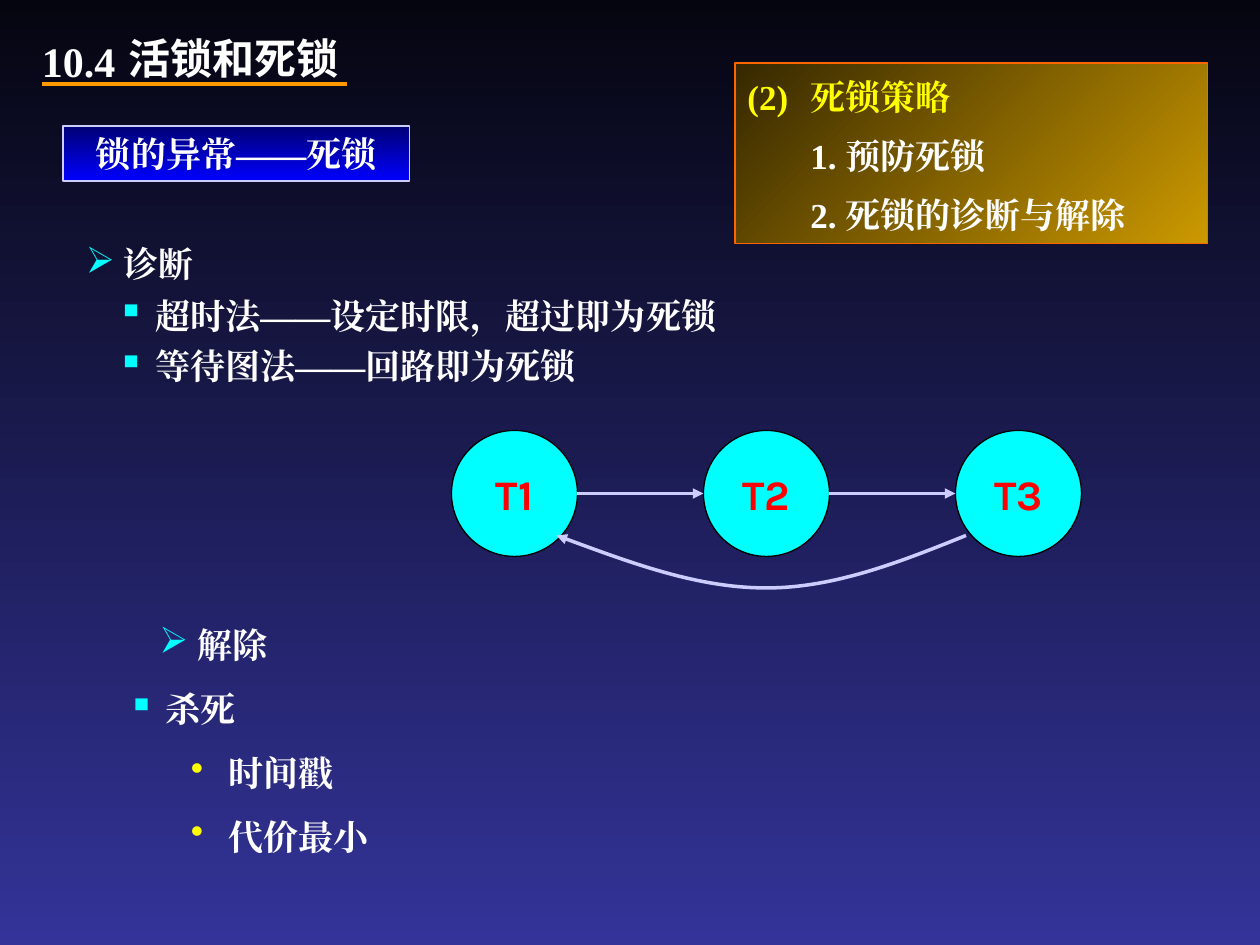
from dataclasses import dataclass

from pptx import Presentation
from pptx import util as u
from pptx.dml.color import RGBColor
from pptx.enum import shapes, text
from pptx.oxml.ns import qn

COLUMNS, ROWS = 120, 90
HANG = 0.3  # inches between a bullet and its text


@dataclass(frozen=True)
class Theme:
    serif: str = "Times New Roman"
    sans: str = "Noto Sans CJK SC"
    node: str = "Karla"
    heading: int = 24
    body: int = 20
    white: str = "FFFFFF"
    cyan: str = "00FFFF"
    yellow: str = "FFFF00"
    red: str = "FF0000"
    black: str = "000000"
    orange: str = "FF9900"
    ember: str = "FF6600"
    lavender: str = "CCCCFF"
    backdrop: tuple = ("050510", "333399")
    blue: tuple = ("000076", "0000FF")
    gold: tuple = ("362800", "CC9900")


THEME = Theme()


def rgb(code):
    return RGBColor.from_string(code)


def add_child(parent, tag, **attributes):
    child = parent.makeelement(qn(tag), attributes)
    parent.append(child)
    return child


def blend(fill, colors, angle):
    """Two-colour gradient; the angle runs clockwise."""
    fill.gradient()
    fill.gradient_angle = 360 - angle
    for stop, color in zip(fill.gradient_stops, colors):
        stop.color.rgb = rgb(color)


def write(paragraph, words, *, color=THEME.white, size=THEME.body, font=THEME.serif,
          align=text.PP_ALIGN.LEFT, level=0, margin=0, bullet=None,
          bullet_color=THEME.cyan, tab=None, before=0, spacing=None):
    paragraph.alignment = align
    paragraph.level = level
    paragraph.space_before = u.Pt(before)
    if spacing:
        paragraph.line_spacing = spacing
    props = paragraph._p.get_or_add_pPr()
    props.set("marL", str(u.Inches(margin)))
    props.set("indent", str(u.Inches(-HANG if bullet else 0)))
    if bullet:
        add_child(add_child(props, "a:buClr"), "a:srgbClr", val=bullet_color)
        add_child(props, "a:buSzPct", val="105000")
        add_child(props, "a:buChar", char=bullet)
    else:
        add_child(props, "a:buNone")
    if tab:
        stops = add_child(props, "a:tabLst")
        add_child(stops, "a:tab", pos=str(u.Inches(tab)), algn="l")
    run = paragraph.add_run()
    run.text = words
    run.font.name, run.font.size, run.font.bold = font, u.Pt(size), True
    run.font.color.rgb = rgb(color)
    add_child(run._r.get_or_add_rPr(), "a:ea", typeface=font)


class Board:
    """Holds the theme and the slide; lengths are grid columns and rows."""

    def __init__(self, deck, theme):
        self.theme = theme
        self.cell_w = deck.slide_width / COLUMNS
        self.cell_h = deck.slide_height / ROWS
        self.slide = deck.slides.add_slide(deck.slide_layouts[5])
        blend(self.slide.background.fill, theme.backdrop, 90)

    def point(self, column, row):
        return u.Emu(round(column * self.cell_w)), u.Emu(round(row * self.cell_h))

    def area(self, column, row, width, height):
        return *self.point(column, row), *self.point(width, height)

    def fill_frame(self, shape, lines, anchor=text.MSO_ANCHOR.TOP, wrap=True):
        """Each line is a pair of words and format."""
        frame = shape.text_frame
        frame.auto_size = text.MSO_AUTO_SIZE.NONE
        frame.word_wrap = wrap
        frame.vertical_anchor = anchor
        for index, (words, style) in enumerate(lines):
            paragraph = frame.add_paragraph() if index else frame.paragraphs[0]
            write(paragraph, words, **style)

    def title(self, place, words):
        title = self.slide.shapes.title
        title.left, title.top, title.width, title.height = self.area(*place)
        style = dict(size=self.theme.heading, font=self.theme.sans)
        self.fill_frame(title, [(words, style)], text.MSO_ANCHOR.MIDDLE)

    def label(self, place, lines, **frame):
        self.fill_frame(self.slide.shapes.add_textbox(*self.area(*place)), lines, **frame)

    def panel(self, place, lines, colors, angle, outline):
        panel = self.slide.shapes.add_shape(shapes.MSO_SHAPE.RECTANGLE, *self.area(*place))
        blend(panel.fill, colors, angle)
        self.outline(panel, outline)
        self.fill_frame(panel, lines)

    def node(self, place, name):
        node = self.slide.shapes.add_shape(shapes.MSO_SHAPE.OVAL, *self.area(*place))
        node.fill.solid()
        node.fill.fore_color.rgb = rgb(self.theme.cyan)
        self.outline(node, self.theme.black)
        style = dict(color=self.theme.red, size=self.theme.heading,
                     font=self.theme.node, align=text.PP_ALIGN.CENTER)
        self.fill_frame(node, [(name, style)], text.MSO_ANCHOR.MIDDLE, wrap=False)

    def line(self, start, end, color, weight, arrow=False):
        line = self.slide.shapes.add_connector(
            shapes.MSO_CONNECTOR.STRAIGHT, *self.point(*start), *self.point(*end))
        self.stroke(line, color, weight, arrow)
        add_child(line._element.spPr, "a:effectLst")

    def curved_arrow(self, start, *controls, color, weight):
        """Bezier arrow: three control points for each segment."""
        builder = self.slide.shapes.build_freeform(*self.point(*start))
        builder.add_line_segments([self.point(*c) for c in controls], close=False)
        curve = builder.convert_to_shape()
        outline = curve._element.spPr.find(".//" + qn("a:path"))
        corners = outline.findall(qn("a:lnTo"))
        for first in range(0, len(corners), 3):
            segment = add_child(outline, "a:cubicBezTo")
            for corner in corners[first:first + 3]:
                segment.append(corner[0])
                outline.remove(corner)
        curve.fill.background()
        self.stroke(curve, color, weight, arrow=True)
        curve.shadow.inherit = False

    def outline(self, shape, color):
        self.stroke(shape, color, 0.75)
        shape.shadow.inherit = False

    def stroke(self, shape, color, weight, arrow=False):
        shape.line.color.rgb = rgb(color)
        shape.line.width = u.Pt(weight)
        if arrow:
            add_child(shape.line._get_or_add_ln(), "a:tailEnd", type="triangle")


def main():
    deck = Presentation()
    deck.slide_width, deck.slide_height = u.Inches(10), u.Inches(7.5)
    board = Board(deck, THEME)
    centered = dict(align=text.PP_ALIGN.CENTER)

    board.title((11, 2, 24, 7), "活锁和死锁")
    board.label((2, 3.75, 11, 4), [("10.4", dict(size=THEME.heading, **centered))],
                anchor=text.MSO_ANCHOR.MIDDLE)
    board.line((4, 8), (33, 8), THEME.orange, 2.25)
    board.panel((6, 12, 33, 5.25), [("锁的异常——死锁", centered)],
                THEME.blue, 90, THEME.lavender)

    topic = dict(bullet="➢", spacing=0.9)
    method = dict(bullet="▪", level=1, margin=0.55)
    board.label((7, 23, 90, 14.5), [
        ("诊断", dict(topic, margin=HANG)),
        ("超时法——设定时限，超过即为死锁", dict(method, before=5)),
        ("等待图法——回路即为死锁", dict(method, before=5))])

    size, step, left, top = 12, 24, 43, 41
    for index in range(3):
        column = left + index * step
        board.node((column, top, size, size), f"T{index + 1}")
        if index:
            middle = top + size / 2
            board.line((column - step + size, middle), (column, middle),
                       THEME.lavender, 2, arrow=True)
    board.curved_arrow((92, 51), (85.8, 53.5), (79.5, 56), (73, 56),
                       (66.5, 56), (59.8, 53.5), (53, 51),
                       color=THEME.lavender, weight=2)

    criterion = dict(bullet="•", bullet_color=THEME.yellow, level=2, margin=1.05, before=12.5)
    board.label((8, 59.2, 60, 23), [
        ("解除", dict(topic, margin=0.8)),
        ("杀死", dict(method, before=12.5)),
        ("时间戳", criterion),
        ("代价最小", criterion)])

    strategy = dict(level=1, margin=0.5, spacing=1.15, before=6.2)
    board.panel((70, 6, 45, 17.2), [
        ("(2)\t死锁策略", dict(color=THEME.yellow, spacing=1.15, tab=0.6)),
        ("1. 预防死锁", strategy),
        ("2. 死锁的诊断与解除", strategy)],
        THEME.gold, 45, THEME.ember)

    deck.save("out.pptx")


if __name__ == "__main__":
    main()
